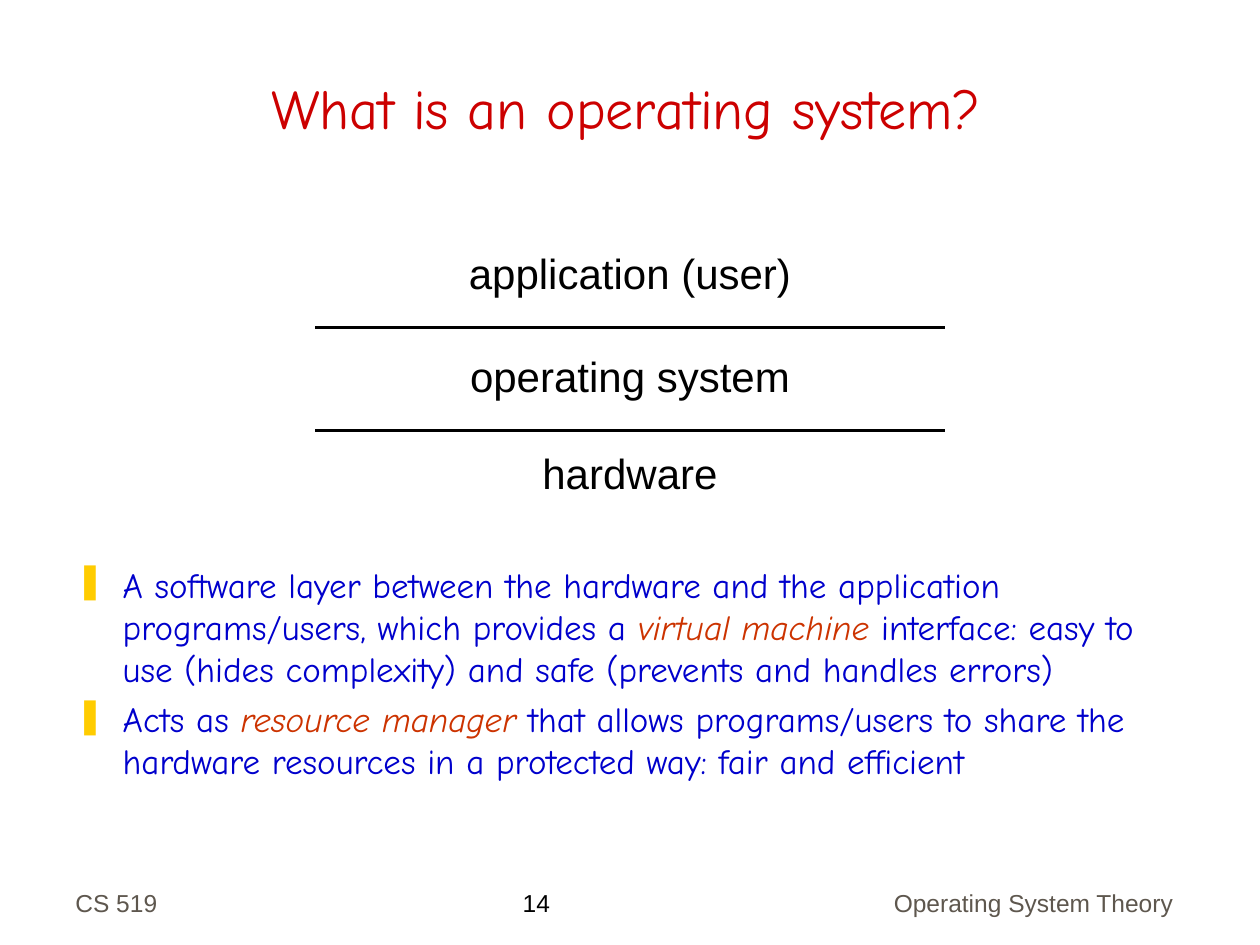
from collections import namedtuple
from dataclasses import dataclass

from lxml.etree import SubElement
from pptx import Presentation
from pptx.dml.color import RGBColor
from pptx.enum.shapes import MSO_CONNECTOR
from pptx.enum.text import MSO_ANCHOR, MSO_AUTO_SIZE, PP_ALIGN
from pptx.oxml.ns import qn
from pptx.util import Pt

Box = namedtuple("Box", "left top width height")


@dataclass(frozen=True)
class Theme:
    """Fonts, colours and sizes of the slide."""
    sans: str = "Arial"
    comic: str = "Comic Neue"
    red: str = "CC0000"
    blue: str = "0000CC"
    rust: str = "CC3300"
    gold: str = "FFCC00"
    grey: str = "5E574E"
    black: str = "000000"
    title_size: float = 32
    layer_size: float = 24
    body_size: float = 20
    footer_size: float = 14
    rule_width: float = 2


THEME = Theme()
TITLE = Box(31.7, 18, 652.3, 66.2)
STACK = Box(180, 138.2, 360, 150)
POINTS = Box(36, 318.2, 653.8, 161.3)
FOOTER = Box(36, 486.7, 641.5, 41.1)

LAYERS = [("application (user)", 0), ("operating system", 58.4), ("hardware", 113.8)]
RULE_OFFSETS = [49, 107.7]
STATEMENTS = [
    ("A software layer between the hardware and the application programs/users, which provides a ",
     "virtual machine",
     " interface: easy to use (hides complexity) and safe (prevents and handles errors)"),
    ("Acts as ", "resource manager",
     " that allows programs/users to share the hardware resources in a protected way: "
     "fair and efficient"),
]


def apply(target, formats):
    """Set each format value on the target."""
    for name, value in formats.items():
        setattr(target, name, value)


def place(shape, box):
    """Move and size a shape to a box in points."""
    apply(shape, {name: Pt(value) for name, value in box._asdict().items()})


def add_run(paragraph, text, font, size, color, italic=False):
    """Append formatted text to a paragraph."""
    run = paragraph.add_run()
    run.text = text
    apply(run.font, {"name": font, "size": Pt(size), "italic": italic, "bold": False})
    run.font.color.rgb = RGBColor.from_string(color)


def format_frame(frame, anchor):
    """Give a text frame the shared wrapping and insets."""
    apply(frame, {"word_wrap": True, "auto_size": MSO_AUTO_SIZE.NONE,
                  "vertical_anchor": anchor,
                  "margin_left": Pt(7.2), "margin_right": Pt(7.2),
                  "margin_top": Pt(3.6), "margin_bottom": Pt(3.6)})


def add_frame(slide, box, anchor=MSO_ANCHOR.TOP):
    """Add a text box and return its frame."""
    frame = slide.shapes.add_textbox(*map(Pt, box)).text_frame
    format_frame(frame, anchor)
    return frame


def add_label(slide, box, text, size, color, align, anchor=MSO_ANCHOR.TOP):
    """Add a one-line label in the sans font."""
    paragraph = add_frame(slide, box, anchor).paragraphs[0]
    paragraph.alignment = align
    add_run(paragraph, text, THEME.sans, size, color)


def add_bullet(paragraph):
    """Give a paragraph a gold bar bullet with a hanging indent."""
    properties = paragraph._p.get_or_add_pPr()
    properties.set("marL", str(Pt(27)))
    properties.set("indent", str(-Pt(27)))
    color = SubElement(properties, qn("a:buClr"))
    SubElement(color, qn("a:srgbClr"), val=THEME.gold)
    SubElement(properties, qn("a:buChar"), char="❚")


def build_title(slide, box):
    """Fill the title placeholder."""
    title = slide.shapes.title
    place(title, box)
    format_frame(title.text_frame, MSO_ANCHOR.BOTTOM)
    heading = title.text_frame.paragraphs[0]
    heading.alignment = PP_ALIGN.CENTER
    add_run(heading, "What is an operating system?", THEME.comic, THEME.title_size, THEME.red)


def build_stack(slide, box):
    """Draw the system layers and the rules between them."""
    for layer, offset in LAYERS:
        add_label(slide, Box(box.left, box.top + offset, box.width, 36), layer,
                  THEME.layer_size, THEME.black, PP_ALIGN.CENTER)
    for offset in RULE_OFFSETS:
        height = Pt(box.top + offset)
        rule = slide.shapes.add_connector(MSO_CONNECTOR.STRAIGHT, Pt(box.left), height,
                                          Pt(box.left + box.width), height)
        rule.line.width = Pt(THEME.rule_width)
        rule.line.color.rgb = RGBColor.from_string(THEME.black)
        SubElement(rule._element.spPr, qn("a:effectLst"))


def build_points(slide, box):
    """Write the bulleted statements with their key terms in italics."""
    frame = add_frame(slide, box)
    for index, (lead, term, rest) in enumerate(STATEMENTS):
        statement = frame.add_paragraph() if index else frame.paragraphs[0]
        add_bullet(statement)
        if index:
            statement.space_before = Pt(5)
        for text, color, italic in ((lead, THEME.blue, False), (term, THEME.rust, True),
                                    (rest, THEME.blue, False)):
            add_run(statement, text, THEME.comic, THEME.body_size, color, italic)


def build_footer(slide, box):
    """Write the course, page number and subject along the foot."""
    course = Box(box.left, box.top, 150, box.height)
    page = Box(box.left + 255.6, box.top + 17.3, 78.5, 24.5)
    subject = Box(box.left + box.width - 190, box.top, 190, box.height)
    for part, text, color, align, anchor in (
            (course, "CS 519", THEME.grey, PP_ALIGN.LEFT, MSO_ANCHOR.BOTTOM),
            (page, "14", THEME.black, PP_ALIGN.LEFT, MSO_ANCHOR.TOP),
            (subject, "Operating System Theory", THEME.grey, PP_ALIGN.RIGHT,
             MSO_ANCHOR.BOTTOM)):
        add_label(slide, part, text, THEME.footer_size, color, align, anchor)


def main():
    """Build and save the slide."""
    deck = Presentation()
    apply(deck, {"slide_width": Pt(720), "slide_height": Pt(540)})
    slide = deck.slides.add_slide(deck.slide_layouts.get_by_name("Title Only"))
    build_title(slide, TITLE)
    build_stack(slide, STACK)
    build_points(slide, POINTS)
    build_footer(slide, FOOTER)
    deck.save("out.pptx")


if __name__ == "__main__":
    main()
